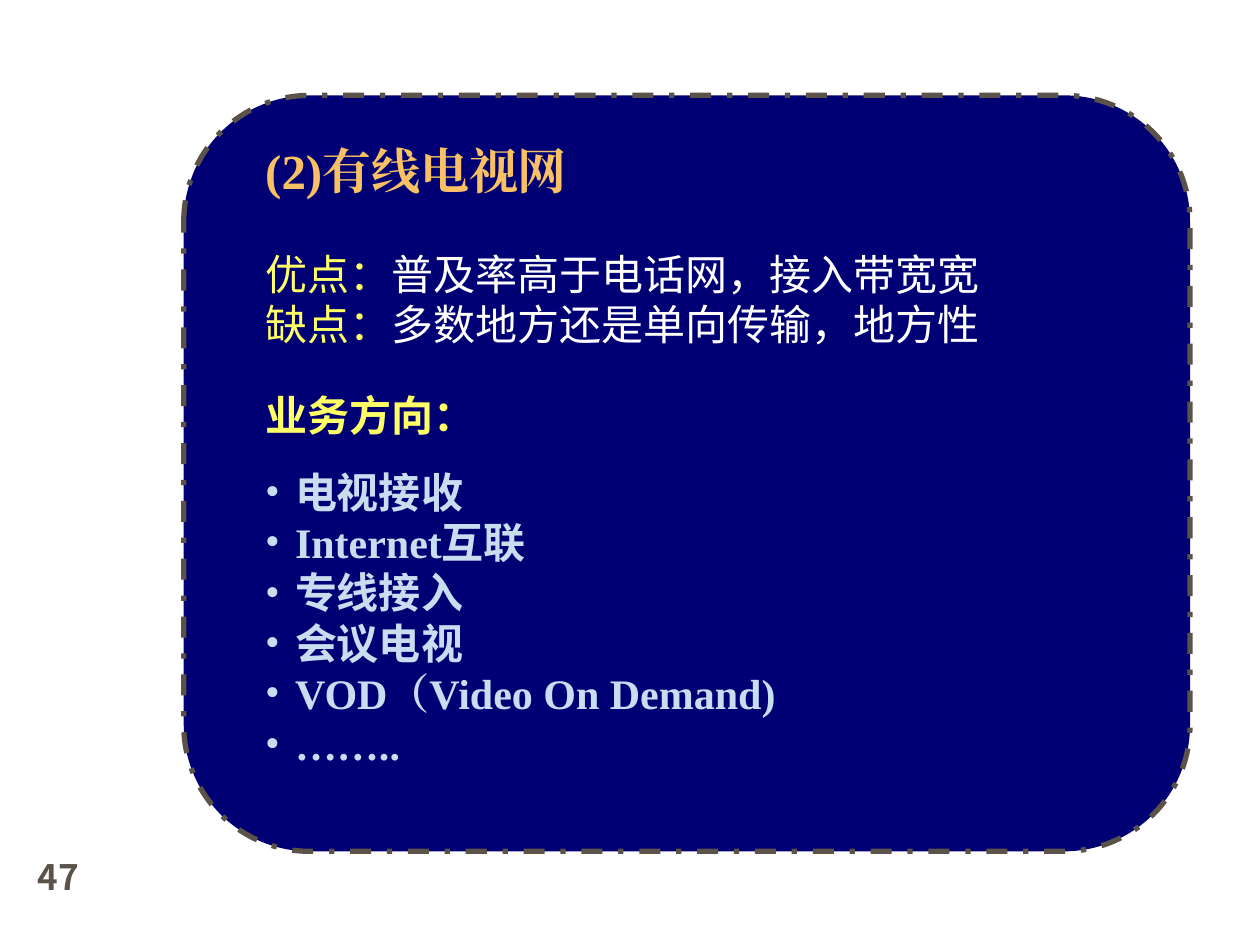
from lxml.etree import SubElement
from pptx import Presentation
from pptx.dml.color import RGBColor
from pptx.enum.dml import MSO_LINE
from pptx.enum.shapes import MSO_SHAPE
from pptx.enum.text import MSO_ANCHOR, PP_ALIGN
from pptx.oxml.ns import qn
from pptx.util import Pt

COLORS = {
    "navy": "000074",
    "brown": "5B5249",
    "orange": "FAC164",
    "yellow": "FFFF66",
    "white": "FFFFFF",
    "pale": "C9DDF1",
}
SERIF = "Times New Roman"
SANS = "Noto Sans CJK SC"
SANS_LIGHT = "Noto Sans CJK JP"
LINE_FACTOR = 1.2


def color_of(name):
    return RGBColor.from_string(COLORS[name])


def add_text(paragraph, text, size=24, font=SANS, color="white", bold=False):
    run = paragraph.add_run()
    run.text = text
    run.font.size = Pt(size)
    run.font.bold = bold
    run.font.color.rgb = color_of(color)
    run.font.name = font
    SubElement(run._r.get_or_add_rPr(), qn("a:ea")).set("typeface", font)
    paragraph.line_spacing = Pt(size * LINE_FACTOR)


class SlideBuilder:
    def __init__(self, slide):
        self.slide = slide

    def panel(self, left, top, width, height):
        shape = self.filled_shape(MSO_SHAPE.FLOWCHART_ALTERNATE_PROCESS, left, top, width, height)
        shape.line.color.rgb = color_of("brown")
        shape.line.width = Pt(3)
        shape.line.dash_style = MSO_LINE.DASH_DOT

    def filled_shape(self, preset, left, top, width, height):
        shape = self.slide.shapes.add_shape(preset, Pt(left), Pt(top), Pt(width), Pt(height))
        shape.shadow.inherit = False
        shape.fill.solid()
        shape.fill.fore_color.rgb = color_of("navy")
        return shape

    def filled_box(self, left, top, width, height):
        shape = self.filled_shape(MSO_SHAPE.RECTANGLE, left, top, width, height)
        shape.line.fill.background()
        return self.prepare(shape)

    def text_box(self, left, top, width, height):
        return self.prepare(self.slide.shapes.add_textbox(Pt(left), Pt(top), Pt(width), Pt(height)))

    def prepare(self, shape):
        frame = shape.text_frame
        frame.word_wrap = True
        frame.vertical_anchor = MSO_ANCHOR.TOP
        frame.paragraphs[0].alignment = PP_ALIGN.LEFT
        return frame

    def paragraph(self, frame):
        paragraph = frame.add_paragraph()
        paragraph.alignment = PP_ALIGN.LEFT
        return paragraph

    def bullet(self, frame, runs):
        paragraph = self.paragraph(frame)
        properties = paragraph._p.get_or_add_pPr()
        properties.set("marL", str(Pt(17)))
        properties.set("indent", str(Pt(-17)))
        bullet_color = SubElement(properties, qn("a:buClr"))
        SubElement(bullet_color, qn("a:srgbClr")).set("val", COLORS["pale"])
        SubElement(properties, qn("a:buFont")).set("typeface", SERIF)
        SubElement(properties, qn("a:buChar")).set("char", "•")
        for text, font in runs:
            add_text(paragraph, text, font=font, color="pale", bold=True)


def main():
    presentation = Presentation()
    presentation.slide_width = Pt(720)
    presentation.slide_height = Pt(540)
    builder = SlideBuilder(presentation.slides.add_slide(presentation.slide_layouts[6]))

    builder.panel(105, 54.5, 575, 432)

    title = builder.text_box(144.5, 77, 451, 41)
    add_text(title.paragraphs[0], "(2)有线电视网", size=28, font=SERIF, color="orange", bold=True)

    comparison = builder.filled_box(144.5, 138.5, 523, 65)
    rows = [
        (comparison.paragraphs[0], "优点：", "普及率高于电话网，接入带宽宽"),
        (builder.paragraph(comparison), "缺点：", "多数地方还是单向传输，地方性"),
    ]
    for paragraph, label, detail in rows:
        add_text(paragraph, label, font=SANS_LIGHT, color="yellow")
        add_text(paragraph, detail, font=SANS_LIGHT)

    services = builder.filled_box(144.5, 219, 468, 224)
    heading = services.paragraphs[0]
    add_text(heading, "业务方向：", color="yellow", bold=True)
    heading.space_after = Pt(15)
    for runs in [
        [("电视接收", SANS)],
        [("Internet", SERIF), ("互联", SANS)],
        [("专线接入", SANS)],
        [("会议电视", SANS)],
        [("VOD（Video On Demand)", SERIF)],
        [("……..", SERIF)],
    ]:
        builder.bullet(services, runs)

    number = builder.text_box(14.5, 485.5, 39.5, 36)
    add_text(number.paragraphs[0], "47", size=20, color="brown", bold=True)

    presentation.save("out.pptx")


if __name__ == "__main__":
    main()
